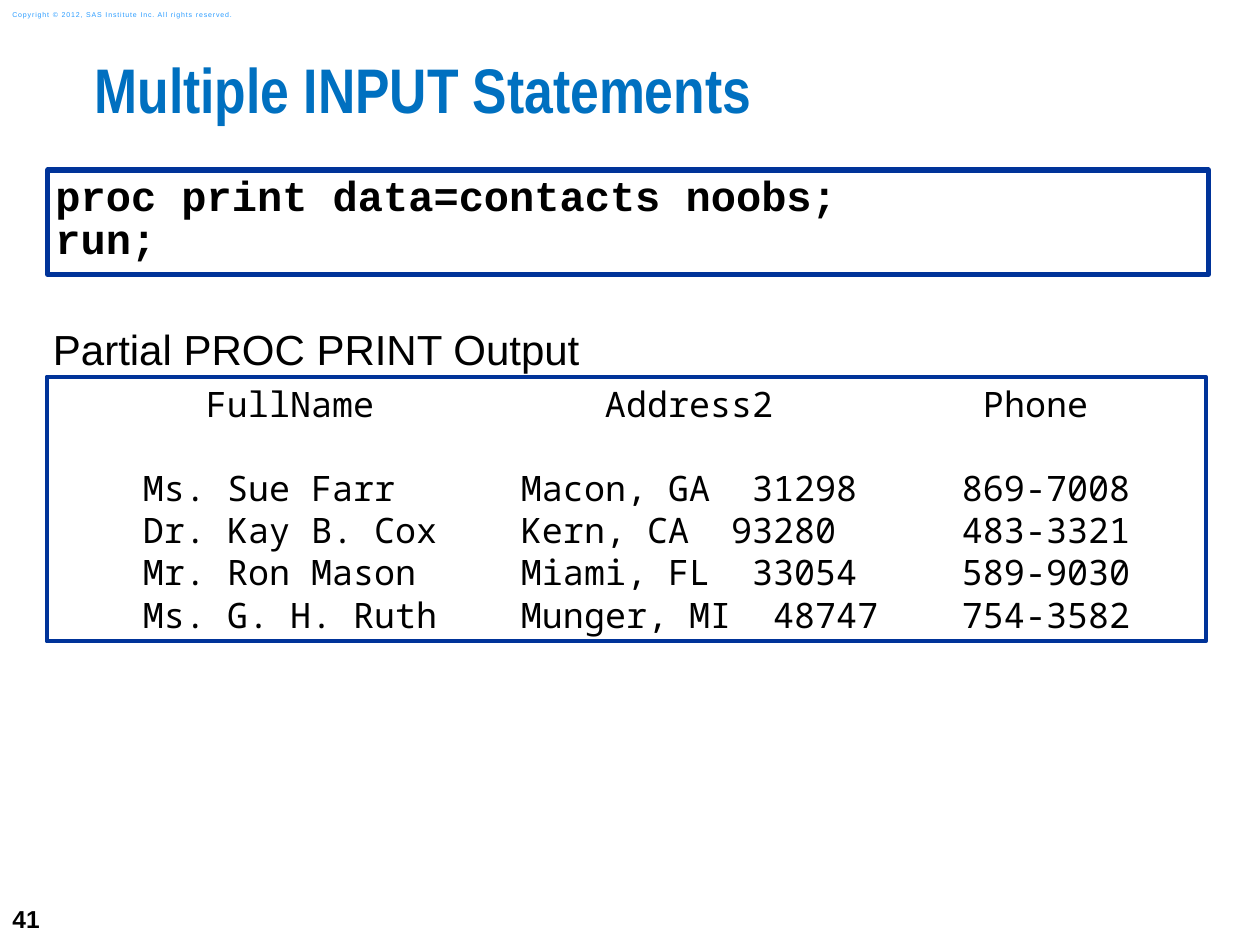
import pptx
import pptx.util
import pptx.dml.color
import pptx.enum.shapes
import pptx.enum.text
import lxml.etree
import pptx.oxml.ns

Inches, Pt = pptx.util.Inches, pptx.util.Pt
ALIGN, ANCHOR = pptx.enum.text.PP_ALIGN, pptx.enum.text.MSO_ANCHOR

# Content
TITLE = "Multiple INPUT Statements"
CODE = ["proc print data=contacts noobs;", "run;"]
CAPTION = "Partial PROC PRINT Output"
HEADER = ("FullName", "Address2", "Phone")
CONTACTS = [
    ("Ms. Sue Farr", "Macon, GA  31298", "869-7008"),
    ("Dr. Kay B. Cox", "Kern, CA  93280", "483-3321"),
    ("Mr. Ron Mason", "Miami, FL  33054", "589-9030"),
    ("Ms. G. H. Ruth", "Munger, MI  48747", "754-3582"),
]
COPYRIGHT = "Copyright © 2012, SAS Institute Inc. All rights reserved."
PAGE_NUMBER = "41"

# Column starts of the listing, in characters; six characters to the inch
HEADER_COLUMNS = (7, 26, 44)
CONTACT_COLUMNS = (4, 22, 43)
CHARACTERS_PER_INCH = 6

BLACK, WHITE, NAVY, BLUE, SKY = "000000", "FFFFFF", "003399", "0070C0", "2A9CFF"


def color(value):
    return pptx.dml.color.RGBColor.from_string(value)


def place(shape, left, top, width, height):
    shape.left, shape.top = Inches(left), Inches(top)
    shape.width, shape.height = Inches(width), Inches(height)


def write(shape, lines, size, font, ink=BLACK, bold=False, align=ALIGN.LEFT,
          anchor=ANCHOR.TOP, insets=(0.1, 0.05, 0.1, 0.05), wrap=True, spacing=None):
    frame = shape.text_frame
    frame.text = "\n".join(lines)
    frame.auto_size = pptx.enum.text.MSO_AUTO_SIZE.NONE
    frame.word_wrap, frame.vertical_anchor = wrap, anchor
    (frame.margin_left, frame.margin_top,
     frame.margin_right, frame.margin_bottom) = map(Inches, insets)
    for para in frame.paragraphs:
        para.alignment, para.line_spacing = align, spacing
        for span in para.runs:
            span.font.size, span.font.name, span.font.bold = Pt(size), font, bold
            span.font.color.rgb = color(ink)
    return frame


def add_text(page, position, lines, size, font, **style):
    box = page.shapes.add_textbox(*map(Inches, position))
    return write(box, lines, size, font, **style)


def add_panel(page, position, line_width):
    panel = page.shapes.add_shape(
        pptx.enum.shapes.MSO_SHAPE.RECTANGLE, *map(Inches, position))
    panel.shadow.inherit = False
    panel.fill.solid()
    panel.fill.fore_color.rgb = color(WHITE)
    panel.line.color.rgb = color(NAVY)
    panel.line.width = Pt(line_width)
    return panel


def set_tabs(para, columns):
    tabs = lxml.etree.SubElement(
        para._p.get_or_add_pPr(), pptx.oxml.ns.qn("a:tabLst"))
    for column in columns:
        lxml.etree.SubElement(tabs, pptx.oxml.ns.qn("a:tab"), algn="l",
                              pos=str(Inches(column / CHARACTERS_PER_INCH)))


deck = pptx.Presentation()
deck.slide_width, deck.slide_height = Inches(10), Inches(7.5)
page = deck.slides.add_slide(deck.slide_layouts[5])

# Title
place(page.shapes.title, 0.75, 0.5, 9.25, 0.74)
write(page.shapes.title, [TITLE], 36, "Arial Narrow", ink=BLUE, bold=True,
      insets=(0, 0, 0, 0), spacing=0.83)

# Page number and copyright line
add_text(page, (0, 7.08, 0.58, 0.42), [PAGE_NUMBER], 14, "Arial", bold=True,
         anchor=ANCHOR.MIDDLE, wrap=False)
notice = add_text(page, (0, 0.03, 2.11, 0.17), [COPYRIGHT], 4, "Arial", ink=SKY,
                  anchor=ANCHOR.MIDDLE)
notice.paragraphs[0].runs[0].font._element.set("spc", "50")

# Output listing, with columns set by tab stops
listing = add_panel(page, (0.37, 2.99, 9.2, 2.1), 2.25)
rows = ["".join("\t" + cell for cell in row) for row in [HEADER] + CONTACTS]
frame = write(listing, rows, 20, "Noto Sans Mono", insets=(0.1, 0.05, 0.1, 0.02))
for index, para in enumerate(frame.paragraphs):
    set_tabs(para, CONTACT_COLUMNS if index else HEADER_COLUMNS)
frame.paragraphs[0].space_after = Pt(24)

# Caption
add_text(page, (0.4, 2.57, 4.22, 0.4), [CAPTION], 24, "Arial", align=ALIGN.CENTER,
         anchor=ANCHOR.MIDDLE, insets=(0, 0, 0, 0), wrap=False)

# Program code
program = add_panel(page, (0.38, 1.35, 9.21, 0.83), 3)
write(program, CODE, 24, "Courier New", bold=True,
      insets=(0.06, 0.06, 0.06, 0.06), spacing=0.85)

deck.save("out.pptx")
